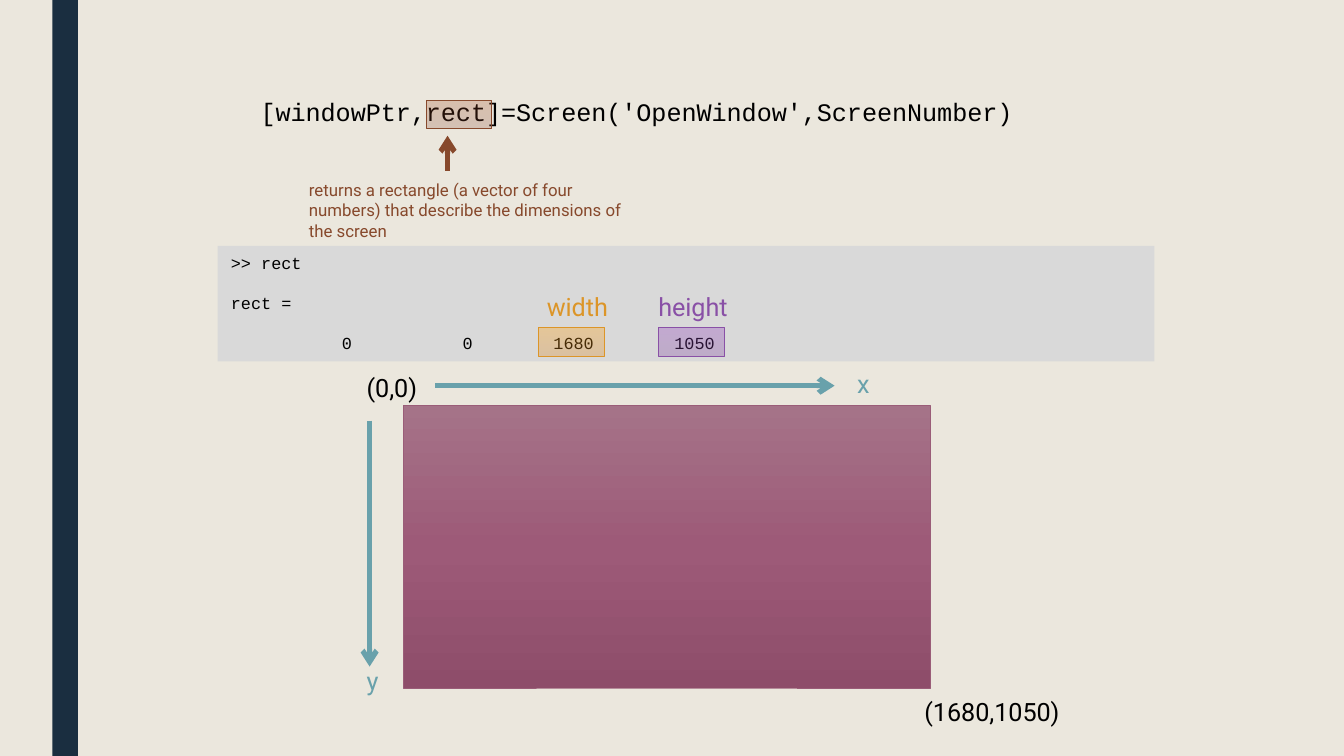
import pptx
import pptx.dml.color
import pptx.enum.shapes
import pptx.enum.text
import pptx.oxml.ns
import pptx.util
from lxml import etree

Inches = pptx.util.Inches
RGBColor = pptx.dml.color.RGBColor
SHAPES = pptx.enum.shapes.MSO_SHAPE
qn = pptx.oxml.ns.qn

SLIDE_WIDTH = 10
SLIDE_HEIGHT = SLIDE_WIDTH * 9 / 16
CREAM = RGBColor(0xEB, 0xE7, 0xDD)
NAVY = RGBColor(0x1A, 0x2E, 0x40)
BLACK = RGBColor(0, 0, 0)
GREY = RGBColor(0xD9, 0xD9, 0xD9)
BROWN = RGBColor(0x87, 0x49, 0x2C)
TEAL = RGBColor(0x69, 0xA1, 0xAB)
ORANGE = RGBColor(0xDC, 0x95, 0x28)
PURPLE = RGBColor(0x89, 0x50, 0xA6)
PLUM = RGBColor(0x9A, 0x5D, 0x78)
BROWN_TINT = [RGBColor(0x8A, 0x4A, 0x35), RGBColor(0x9E, 0x41, 0x15)]
ORANGE_TINT = [RGBColor(0xDD, 0x89, 0x23), RGBColor(0xFF, 0x9C, 0x05)]
PURPLE_TINT = [RGBColor(0x81, 0x46, 0xA3), RGBColor(0x90, 0x3B, 0xBC)]
PLUM_SHADES = [RGBColor(0xA5, 0x73, 0x88), RGBColor(0x9D, 0x5A, 0x78), RGBColor(0x8E, 0x4D, 0x6A)]
CODE_FONT = "Courier New"
LABEL_FONT = "Roboto"


def style_runs(paragraph, size, font, color):
    """Format every run of a paragraph."""
    for run in paragraph.runs:
        run.font.size = pptx.util.Pt(size)
        run.font.name = font
        run.font.color.rgb = color


def add_label(slide, text, left, top, width, color, height=0.33, size=13.5, font=LABEL_FONT):
    """Place a wrapped text box in one style."""
    label = slide.shapes.add_textbox(Inches(left), Inches(top), Inches(width), Inches(height))
    label.text_frame.word_wrap = True
    label.text_frame.text = text
    style_runs(label.text_frame.paragraphs[0], size, font, color)


def add_block(slide, left, top, width, height, color):
    """Place a plain rectangle without outline and return it."""
    block = slide.shapes.add_shape(SHAPES.RECTANGLE, Inches(left), Inches(top), Inches(width), Inches(height))
    block.shadow.inherit = False
    block.fill.solid()
    block.fill.fore_color.rgb = color
    block.line.fill.background()
    return block


def add_gradient_block(slide, left, top, width, height, colors, outline, angle=270, opacity=100):
    """Place an outlined rectangle with evenly spaced gradient stops."""
    block = add_block(slide, left, top, width, height, outline)
    block.line.color.rgb = outline
    block.line.width = pptx.util.Pt(0.5)
    block.fill.gradient()
    gradient = block._element.spPr.find(qn("a:gradFill"))
    for child in list(gradient):
        gradient.remove(child)
    stops = etree.SubElement(gradient, qn("a:gsLst"))
    for index, color in enumerate(colors):
        position = 100000 * index // (len(colors) - 1)
        stop = etree.SubElement(stops, qn("a:gs"), pos=str(position))
        shade = etree.SubElement(stop, qn("a:srgbClr"), val=str(color))
        if opacity < 100:
            etree.SubElement(shade, qn("a:alpha"), val=str(opacity * 1000))
    etree.SubElement(gradient, qn("a:lin"), ang=str(angle * 60000), scaled="0")


def add_arrow(slide, start, end, color):
    """Draw a straight arrow between two points."""
    points = [Inches(value) for value in (*start, *end)]
    arrow = slide.shapes.add_connector(pptx.enum.shapes.MSO_CONNECTOR.STRAIGHT, *points)
    arrow.line.color.rgb = color
    arrow.line.width = pptx.util.Pt(2.75)
    etree.SubElement(arrow.line._get_or_add_ln(), qn("a:tailEnd"), type="arrow")
    etree.SubElement(arrow._element.spPr, qn("a:effectLst"))


def add_call(slide, left, top):
    """Show the function call, its highlighted output and the note on it."""
    add_label(slide, "[windowPtr,rect]=Screen('OpenWindow',ScreenNumber)", left, top, 6.28, BLACK, font=CODE_FONT)
    add_gradient_block(slide, left + 1.33, top + 0.08, 0.49, 0.21, BROWN_TINT, BROWN, opacity=23)
    note = "returns a rectangle (a vector of four numbers) that describe the dimensions of the screen"
    add_label(slide, note, left + 0.36, top + 0.62, 2.52, BROWN, height=0.56, size=9)
    add_arrow(slide, (left + 1.49, top + 0.6), (left + 1.49, top + 0.34), BROWN)


def add_console(slide, left, top, width, height):
    """Show the console output with its values in right-aligned columns."""
    console = add_block(slide, left, top, width, height, GREY)
    frame = console.text_frame
    frame.word_wrap = True
    frame.vertical_anchor = pptx.enum.text.MSO_ANCHOR.TOP
    frame.text = ">> rect\nrect =\n\t0\t0\t1680\t1050"
    tabs = etree.SubElement(frame.paragraphs[-1]._p.get_or_add_pPr(), qn("a:tabLst"))
    for column in range(1, 5):
        etree.SubElement(tabs, qn("a:tab"), pos=str(Inches(0.9 * column)), algn="r")
    for index, paragraph in enumerate(frame.paragraphs):
        paragraph.alignment = pptx.enum.text.PP_ALIGN.LEFT
        if index:
            paragraph.space_before = pptx.util.Pt(10.7)
        style_runs(paragraph, 9, CODE_FONT, BLACK)


def add_dimension(slide, name, left, top, name_shift, tint, color):
    """Highlight one console value and name it above."""
    add_gradient_block(slide, left, top, 0.49, 0.21, tint, color, opacity=30)
    add_label(slide, name, left + name_shift, top - 0.32, 0.76, color)


def add_screen(slide, left, top, width, height):
    """Draw the screen with its corner coordinates and axes."""
    add_gradient_block(slide, left, top, width, height, PLUM_SHADES, PLUM, angle=90)
    add_label(slide, "(1680,1050)", left + width - 0.14, top + height + 0.01, 1.24, BLACK)
    add_label(slide, "(0,0)", left - 0.37, top - 0.3, 0.6, BLACK)
    add_arrow(slide, (left + 0.24, top - 0.15), (left + 3.21, top - 0.15), TEAL)
    add_arrow(slide, (left - 0.25, top + 0.11), (left - 0.25, top + 1.94), TEAL)
    add_label(slide, "x", left + 3.28, top - 0.33, 0.34, TEAL)
    add_label(slide, "y", left - 0.37, top + 1.88, 0.34, TEAL)


def main():
    """Build the slide and save it."""
    presentation = pptx.Presentation()
    presentation.slide_width = Inches(SLIDE_WIDTH)
    presentation.slide_height = Inches(SLIDE_HEIGHT)
    slide = presentation.slides.add_slide(presentation.slide_layouts[6])
    slide.background.fill.solid()
    slide.background.fill.fore_color.rgb = CREAM
    add_block(slide, 0.39, 0, 0.19, SLIDE_HEIGHT, NAVY)
    add_call(slide, 1.84, 0.67)
    add_console(slide, 1.62, 1.83, 6.97, 0.86)
    add_screen(slide, 3, 3.02, 3.92, 2.1)
    add_dimension(slide, "width", 4.01, 2.44, -0.04, ORANGE_TINT, ORANGE)
    add_dimension(slide, "height", 4.9, 2.44, -0.1, PURPLE_TINT, PURPLE)
    presentation.save("out.pptx")


if __name__ == "__main__":
    main()
